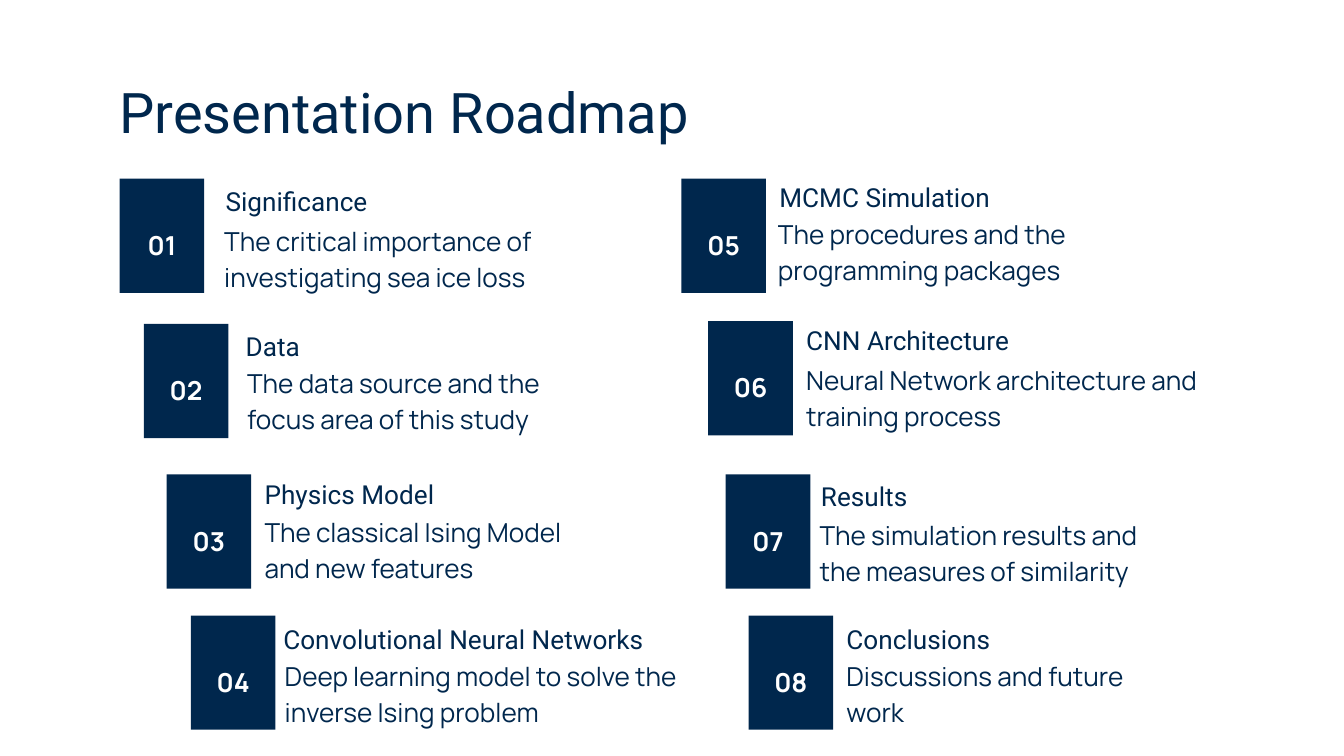
"""Build the presentation roadmap slide with eight numbered topics."""
from dataclasses import dataclass

from pptx import Presentation
from pptx.dml.color import RGBColor
from pptx.enum.shapes import MSO_SHAPE
from pptx.enum.text import MSO_ANCHOR, PP_ALIGN
from pptx.util import Inches, Pt


@dataclass(frozen=True)
class Theme:
    navy: RGBColor = RGBColor(0x00, 0x27, 0x4D)
    white: RGBColor = RGBColor(0xFF, 0xFF, 0xFF)
    heading_font: str = "Roboto"
    body_font: str = "Manrope"
    title_size: int = 30
    text_size: int = 14
    line_spacing: float = 1.15


@dataclass(frozen=True)
class Topic:
    heading: str
    detail: str
    tile: tuple[float, float]
    heading_at: tuple[float, float]
    detail_at: tuple[float, float]
    heading_width: float = 2.63
    detail_width: float = 2.63


THEME = Theme()
TILE_WIDTH, TILE_HEIGHT = 0.63, 0.85
HEADING_HEIGHT, DETAIL_HEIGHT = 0.47, 0.53

TOPICS = [
    Topic("Significance", "The critical importance of investigating sea ice loss",
          (0.89, 1.33), (1.58, 1.24), (1.57, 1.54), detail_width=2.74),
    Topic("Data", "The data source and the focus area of this study",
          (1.07, 2.41), (1.73, 2.32), (1.74, 2.6), detail_width=2.79),
    Topic("Physics Model", "The classical Ising Model and new features",
          (1.24, 3.53), (1.87, 3.42), (1.87, 3.71)),
    Topic("Convolutional Neural Networks", "Deep learning model to solve the inverse Ising problem",
          (1.42, 4.58), (2.01, 4.5), (2.02, 4.78), heading_width=3.14, detail_width=3.21),
    Topic("MCMC Simulation", "The procedures and the programming packages",
          (5.07, 1.33), (5.7, 1.21), (5.69, 1.49), detail_width=3.12),
    Topic("CNN Architecture", "Neural Network architecture and training process",
          (5.27, 2.39), (5.9, 2.28), (5.9, 2.58), heading_width=3.02, detail_width=3.12),
    Topic("Results", "The simulation results and the measures of similarity",
          (5.4, 3.53), (6.01, 3.44), (6, 3.73), detail_width=2.87),
    Topic("Conclusions", "Discussions and future work",
          (5.57, 4.58), (6.2, 4.5), (6.2, 4.78)),
]


def write(sp, text: str, *, font: str = THEME.body_font, size: int = THEME.text_size,
          color: RGBColor = THEME.navy, bold: bool = False, align=PP_ALIGN.LEFT,
          anchor=MSO_ANCHOR.TOP, spacing: float = THEME.line_spacing, bottom: float = 0.1) -> None:
    tf = sp.text_frame
    tf.word_wrap = True
    tf.vertical_anchor = anchor
    tf.margin_left = tf.margin_right = tf.margin_top = Inches(0.1)
    tf.margin_bottom = Inches(bottom)
    p = tf.paragraphs[0]
    p.alignment = align
    p.line_spacing = spacing
    r = p.add_run()
    r.text = text
    r.font.name = font
    r.font.size = Pt(size)
    r.font.bold = bold
    r.font.color.rgb = color


def add_text(s, at: tuple[float, float], width: float, height: float, text: str, **fmt) -> None:
    sp = s.shapes.add_textbox(*map(Inches, (*at, width, height)))
    write(sp, text, **fmt)


def add_tile(s, at: tuple[float, float], number: int) -> None:
    sp = s.shapes.add_shape(MSO_SHAPE.RECTANGLE, *map(Inches, (*at, TILE_WIDTH, TILE_HEIGHT)))
    sp.shadow.inherit = False
    sp.fill.solid()
    sp.fill.fore_color.rgb = THEME.navy
    sp.line.fill.background()
    write(sp, f"{number:02}", color=THEME.white, bold=True, align=PP_ALIGN.CENTER,
          anchor=MSO_ANCHOR.MIDDLE, bottom=0)


def add_topic(s, number: int, topic: Topic) -> None:
    add_text(s, topic.detail_at, topic.detail_width, DETAIL_HEIGHT, topic.detail)
    add_tile(s, topic.tile, number)
    add_text(s, topic.heading_at, topic.heading_width, HEADING_HEIGHT, topic.heading,
             font=THEME.heading_font, anchor=MSO_ANCHOR.BOTTOM)


def main() -> None:
    prs = Presentation()
    prs.slide_width = Inches(10)
    prs.slide_height = Inches(10 * 9 / 16)
    s = prs.slides.add_slide(prs.slide_layouts[6])
    add_text(s, (0.79, 0.48), 8.43, 0.63, "Presentation Roadmap",
             font=THEME.heading_font, size=THEME.title_size, spacing=1.0)
    for number, topic in enumerate(TOPICS, start=1):
        add_topic(s, number, topic)
    prs.save("out.pptx")


if __name__ == "__main__":
    main()
